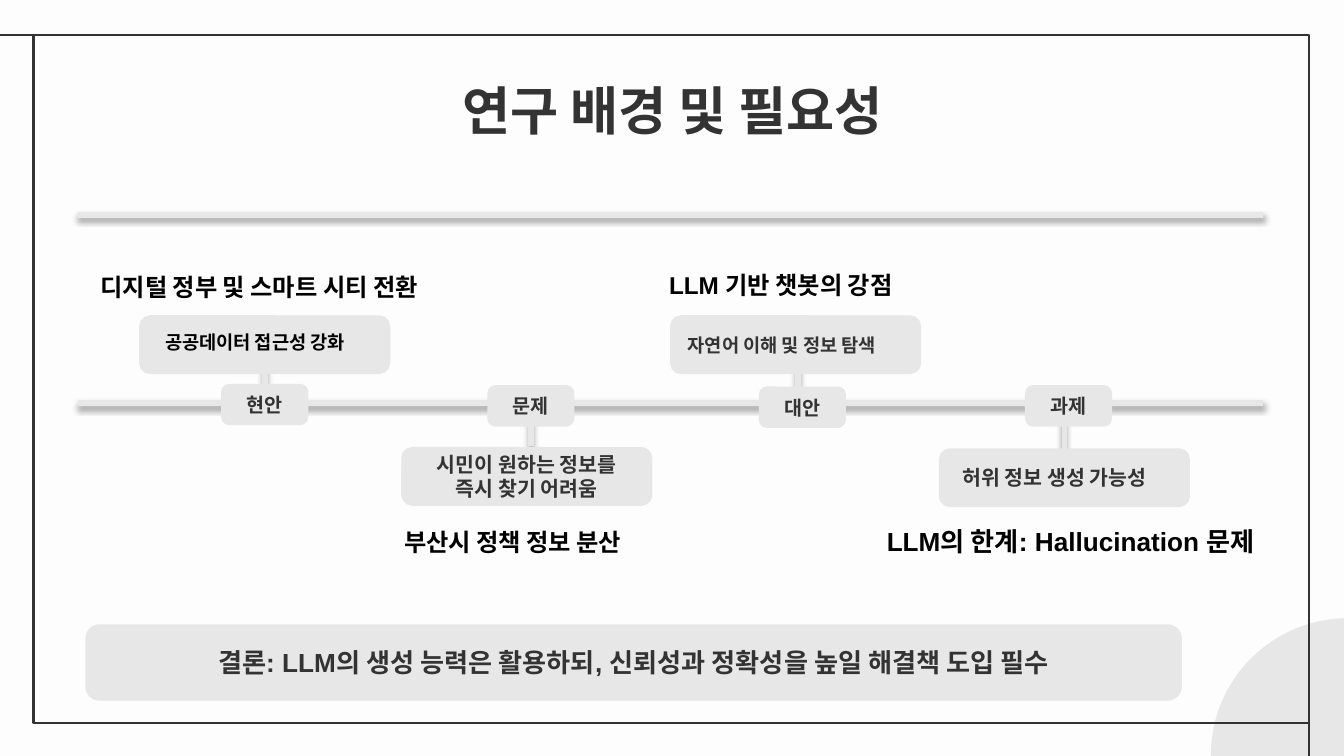
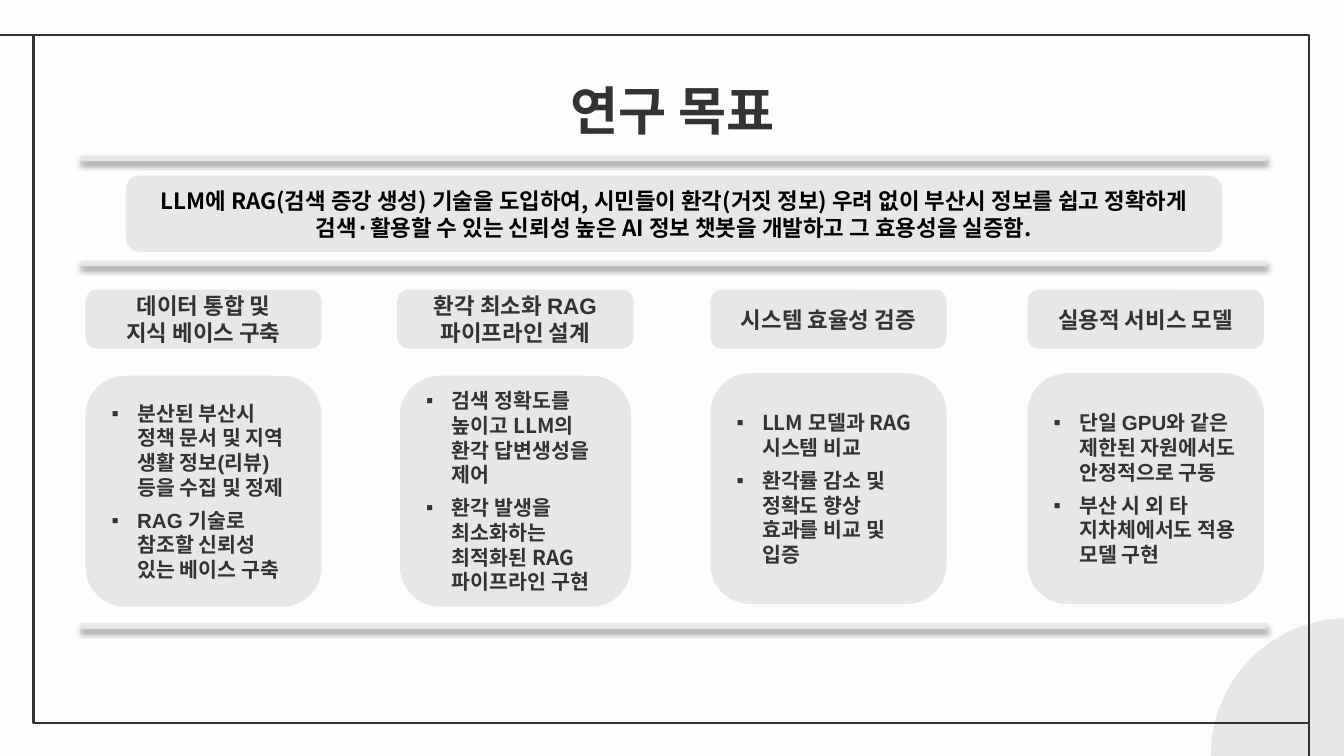
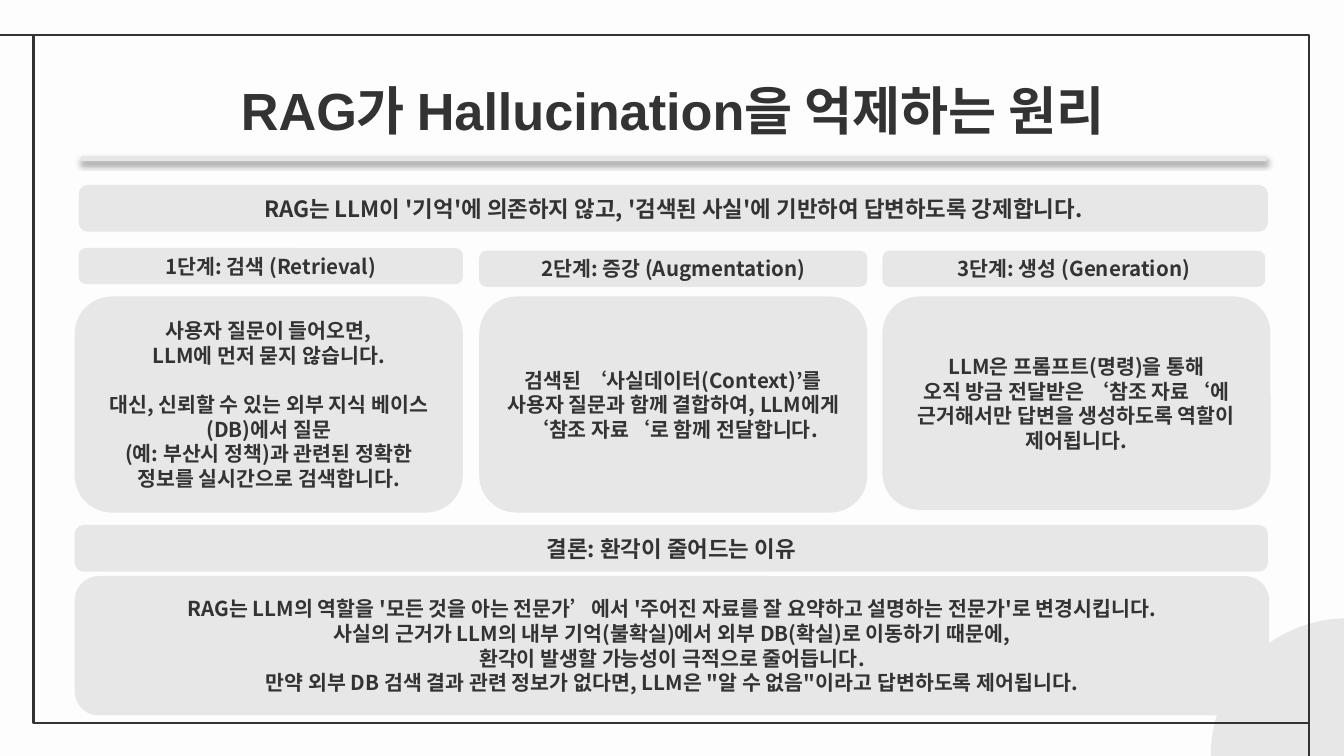
from lxml import etree
from pptx import Presentation
from pptx.dml.color import RGBColor
from pptx.enum.shapes import MSO_CONNECTOR, MSO_SHAPE
from pptx.enum.text import MSO_ANCHOR, MSO_AUTO_SIZE, PP_ALIGN
from pptx.oxml import parse_xml
from pptx.oxml.ns import nsdecls, qn
from pptx.util import Inches, Pt

LEFT, CENTER = PP_ALIGN.LEFT, PP_ALIGN.CENTER
MIDDLE = MSO_ANCHOR.MIDDLE
GROW = MSO_AUTO_SIZE.SHAPE_TO_FIT_TEXT
ROUND, RECT, OVAL = MSO_SHAPE.ROUNDED_RECTANGLE, MSO_SHAPE.RECTANGLE, MSO_SHAPE.OVAL
STRAIGHT = MSO_CONNECTOR.STRAIGHT

PAPER = RGBColor(0xFD, 0xFD, 0xFD)
GRAY = RGBColor(0xE8, 0xE7, 0xE7)
DARK = RGBColor(0x33, 0x33, 0x33)
BLACK = RGBColor(0, 0, 0)
ARIAL, NOTO = "Arial", "Noto Sans CJK KR"
WIDE = 10
HIGH = WIDE * 9 / 16

SHADOW = (
    f'<a:effectLst {nsdecls("a")}>'
    f'<a:outerShdw blurRad="{Pt(3.1)}" dist="{Pt(1.8)}" dir="5400000" rotWithShape="0">'
    '<a:srgbClr val="000000"><a:alpha val="35000"/></a:srgbClr>'
    '</a:outerShdw></a:effectLst>'
)


def inches(*sizes):
    return [Inches(size) for size in sizes]


def add_bullet(para):
    props = para._p.get_or_add_pPr()
    props.set("marL", str(Inches(0.19)))
    props.set("indent", str(-Inches(0.19)))
    etree.SubElement(props, qn("a:buFont")).set("typeface", ARIAL)
    etree.SubElement(props, qn("a:buChar")).set("char", "▪")


def set_font(para, name, size, color):
    para.font.name = name
    para.font.size = Pt(size)
    para.font.bold = True
    para.font.color.rgb = color
    props = para._p.get_or_add_pPr().find(qn("a:defRPr"))
    etree.SubElement(props, qn("a:ea")).set("typeface", NOTO)


def write(frame, text, size, font=ARIAL, color=DARK, align=CENTER, bullet=False, gaps=None):
    frame.word_wrap = True
    for i, line in enumerate(text.split("\n")):
        para = frame.paragraphs[0] if i == 0 else frame.add_paragraph()
        para.text = line
        para.alignment = align
        if gaps and i in gaps:
            para.space_before = Pt(gaps[i])
        if bullet:
            add_bullet(para)
        set_font(para, font, size, color)


def add_line(slide, x1, y1, x2, y2, color=GRAY, width=3, shadow=True):
    line = slide.shapes.add_connector(STRAIGHT, *inches(x1, y1, x2, y2))
    line.line.color.rgb = color
    line.line.width = Pt(width)
    props = line._element.spPr
    if shadow:
        props.append(parse_xml(SHADOW))
    else:
        etree.SubElement(props, qn("a:effectLst"))
    return line


def add_box(slide, x, y, w, h, text="", size=11, **style):
    box = slide.shapes.add_shape(ROUND, *inches(x, y, w, h))
    box.shadow.inherit = False
    box.fill.solid()
    box.fill.fore_color.rgb = GRAY
    box.line.color.rgb = GRAY
    box.line.width = Pt(2)
    box.text_frame.vertical_anchor = MIDDLE
    if text:
        write(box.text_frame, text, size, **style)
    return box


def add_label(slide, x, y, w, h, text, size):
    frame = slide.shapes.add_textbox(*inches(x, y, w, h)).text_frame
    write(frame, text, size, color=BLACK, align=LEFT)
    frame.auto_size = GROW


def add_frame(slide):
    disc = slide.shapes.add_shape(OVAL, *inches(9.01, 4.6, 2.04, 2.04))
    disc.shadow.inherit = False
    disc.fill.solid()
    disc.fill.fore_color.rgb = GRAY
    disc.line.fill.background()
    border = slide.shapes.add_shape(RECT, *inches(0.25, 0.26, 9.49, 5.12))
    border.shadow.inherit = False
    border.fill.background()
    border.line.color.rgb = DARK
    border.line.width = Pt(1.5)
    for ends in ((0.26, 0.26, -0.02, 0.26), (9.74, 5.38, 9.74, 5.75)):
        add_line(slide, *ends, DARK, 1.5, False)


def add_title(slide, text):
    frame = slide.shapes.add_textbox(*inches(0.79, 0.5, 8.43, 0.63)).text_frame
    frame.margin_top = frame.margin_bottom = Inches(0.1)
    frame.vertical_anchor = MIDDLE
    write(frame, text, 28)


def start(deck, title):
    slide = deck.slides.add_slide(deck.slide_layouts[6])
    slide.background.fill.solid()
    slide.background.fill.fore_color.rgb = PAPER
    add_frame(slide)
    add_title(slide, title)
    return slide


def add_need(deck):
    slide = start(deck, "연구 배경 및 필요성")
    for y in (1.6, 3):
        add_line(slide, 0.58, y, 9.4, y)
    stems = [add_line(slide, x, y, x, y + 0.34)
             for x, y in ((1.97, 2.69), (3.95, 2.98), (5.94, 2.67), (7.92, 3))]

    for x, y, text in ((1.66, 2.87, "현안"), (3.64, 2.88, "문제"),
                       (5.66, 2.89, "대안"), (7.64, 2.88, "과제")):
        add_box(slide, x, y, 0.62, 0.28, text, 10.5)

    add_box(slide, 1.05, 2.36, 1.84, 0.41)
    add_box(slide, 3, 3.34, 1.84, 0.41, "시민이 원하는 정보를 즉시 찾기 어려움")
    add_box(slide, 5, 2.36, 1.84, 0.41, "자연어 이해 및 정보 탐색", 10, align=LEFT)
    risk = add_box(slide, 7, 3.35, 1.84, 0.41, "허위 정보 생성 가능성", align=LEFT)
    risk.text_frame.margin_left = Inches(0.14)
    stems[3].end_connect(risk, 0)

    for label in (
        (1.13, 2.41, 1.69, 0.27, "공공데이터 접근성 강화", 10),
        (0.65, 1.98, 2.87, 0.32, "디지털 정부 및 스마트 시티 전환", 13),
        (2.91, 3.87, 2.14, 0.32, "부산시 정책 정보 분산", 13),
        (4.88, 1.96, 2.16, 0.32, "LLM 기반 챗봇의 강점", 13),
        (6.5, 3.86, 3.03, 0.34, "LLM의 한계: Hallucination 문제", 14),
    ):
        add_label(slide, *label)
    add_box(slide, 0.65, 4.66, 8.13, 0.54,
            "결론: LLM의 생성 능력은 활용하되, 신뢰성과 정확성을 높일 해결책 도입 필수", 14)


def add_goals(deck):
    slide = start(deck, "연구 목표")
    for y in (1.18, 1.96, 4.66):
        add_line(slide, 0.6, y, 9.42, y)
    add_box(slide, 0.95, 1.32, 8.13, 0.54,
            "LLM에 RAG(검색 증강 생성) 기술을 도입하여, 시민들이 환각(거짓 정보) 우려 없이 "
            "부산시 정보를 쉽고 정확하게 검색·활용할 수 있는 신뢰성 높은 AI 정보 챗봇을 "
            "개발하고 그 효용성을 실증함.", 12, font=NOTO, color=BLACK)

    heads = (
        (0.65, "데이터 통합 및\n지식 베이스 구축", ARIAL),
        (2.97, "환각 최소화 RAG 파이프라인 설계", ARIAL),
        (5.3, "시스템 효율성 검증", NOTO),
        (7.66, "실용적 서비스 모델", ARIAL),
    )
    for x, text, font in heads:
        add_box(slide, x, 2.17, 1.73, 0.41, text, 12, font=font)

    cards = (
        (0.65, 2.81, 1.73, ARIAL, "분산된 부산시 정책 문서 및 지역 생활 정보(리뷰) 등을 수집 및 정제\n"
                                  "RAG 기술로 참조할 신뢰성 있는 베이스 구축"),
        (2.99, 2.81, 1.69, NOTO, "검색 정확도를 높이고 LLM의 환각 답변생성을 제어\n"
                                 "환각 발생을 최소화하는 최적화된 RAG 파이프라인 구현"),
        (5.3, 2.79, 1.73, NOTO, "LLM 모델과 RAG 시스템 비교\n"
                                "환각률 감소 및 정확도 향상 효과를 비교 및 입증"),
        (7.66, 2.79, 1.73, ARIAL, "단일 GPU와 같은 제한된 자원에서도 안정적으로 구동\n"
                                  "부산 시 외 타 지차체에서도 적용 모델 구현"),
    )
    for x, y, w, font, text in cards:
        add_box(slide, x, y, w, 1.69, text, font=font, align=LEFT, bullet=True, gaps={1: 4.5})


def add_method(deck):
    slide = start(deck, "RAG가 Hallucination을 억제하는 원리")
    add_line(slide, 0.6, 1.18, 9.42, 1.18)
    add_box(slide, 0.6, 1.39, 8.82, 0.32,
            "RAG는 LLM이 '기억'에 의존하지 않고, '검색된 사실'에 기반하여 답변하도록 강제합니다.",
            12, font=NOTO)

    heads = (
        (0.6, 1.86, 2.83, "1단계: 검색 (Retrieval)"),
        (3.58, 1.88, 2.86, "2단계: 증강 (Augmentation)"),
        (6.58, 1.88, 2.82, "3단계: 생성 (Generation)"),
    )
    for x, y, w, text in heads:
        add_box(slide, x, y, w, 0.24, text, font=NOTO)

    steps = (
        (0.57, 1.58, "사용자 질문이 들어오면,\nLLM에 먼저 묻지 않습니다.\n"
                     "대신, 신뢰할 수 있는 외부 지식 베이스(DB)에서 질문\n"
                     "(예: 부산시 정책)과 관련된 정확한 정보를 실시간으로 검색합니다.", {2: 13}),
        (3.58, 1.58, "검색된 ‘사실데이터(Context)’를\n"
                     "사용자 질문과 함께 결합하여, LLM에게 ‘참조 자료‘로 함께 전달합니다.", None),
        (6.58, 1.56, "LLM은 프롬프트(명령)을 통해\n"
                     "오직 방금 전달받은 ‘참조 자료‘에 근거해서만 답변을 생성하도록 역할이 제어됩니다.", None),
    )
    for x, h, text, gaps in steps:
        add_box(slide, x, 2.22, 2.86, h, text, font=NOTO, gaps=gaps)

    add_box(slide, 0.57, 3.92, 8.85, 0.32, "결론: 환각이 줄어드는 이유", 12, font=NOTO)
    add_box(slide, 0.57, 4.3, 8.86, 1.01,
            "RAG는 LLM의 역할을 '모든 것을 아는 전문가’에서 "
            "'주어진 자료를 잘 요약하고 설명하는 전문가'로 변경시킵니다.\n"
            "사실의 근거가 LLM의 내부 기억(불확실)에서 외부 DB(확실)로 이동하기 때문에,\n"
            "환각이 발생할 가능성이 극적으로 줄어듭니다.\n"
            "만약 외부 DB 검색 결과 관련 정보가 없다면, "
            "LLM은 \"알 수 없음\"이라고 답변하도록 제어됩니다.", font=NOTO)


def main():
    deck = Presentation()
    deck.slide_width, deck.slide_height = inches(WIDE, HIGH)
    add_need(deck)
    add_goals(deck)
    add_method(deck)
    deck.save("out.pptx")


if __name__ == "__main__":
    main()
